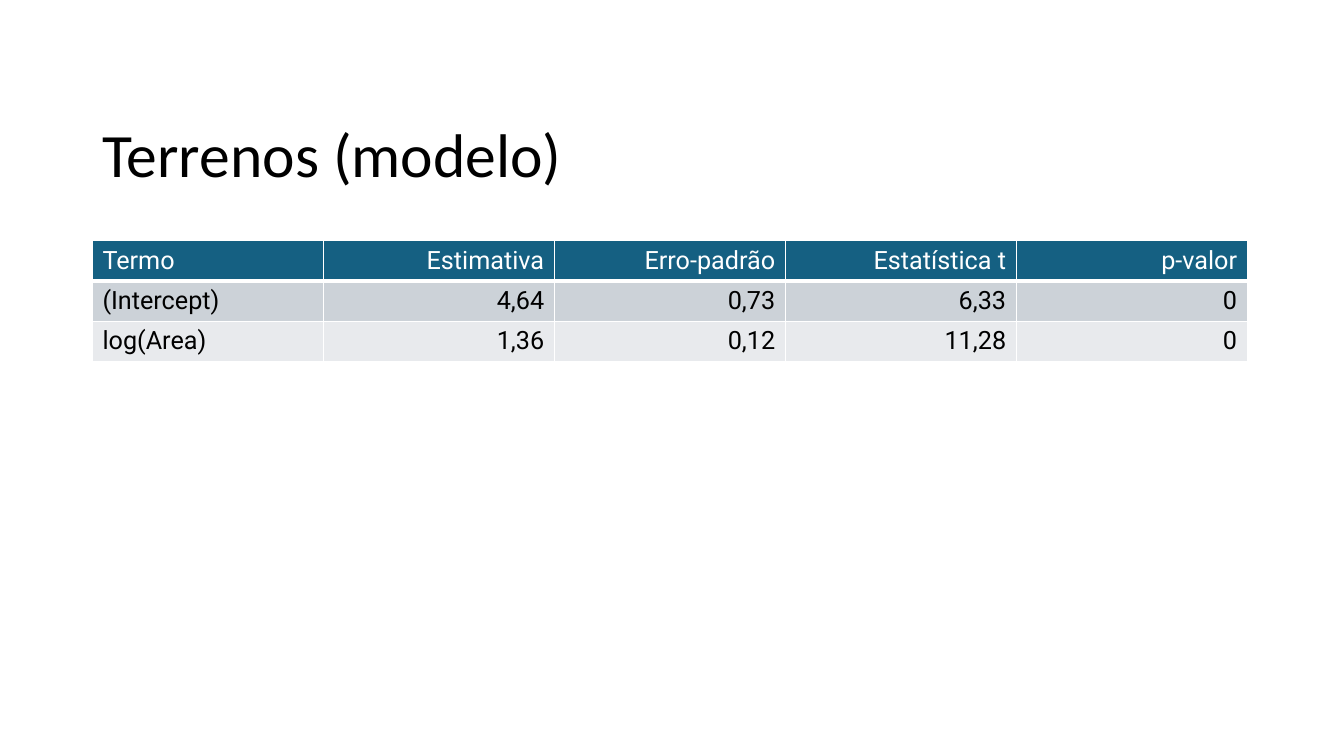
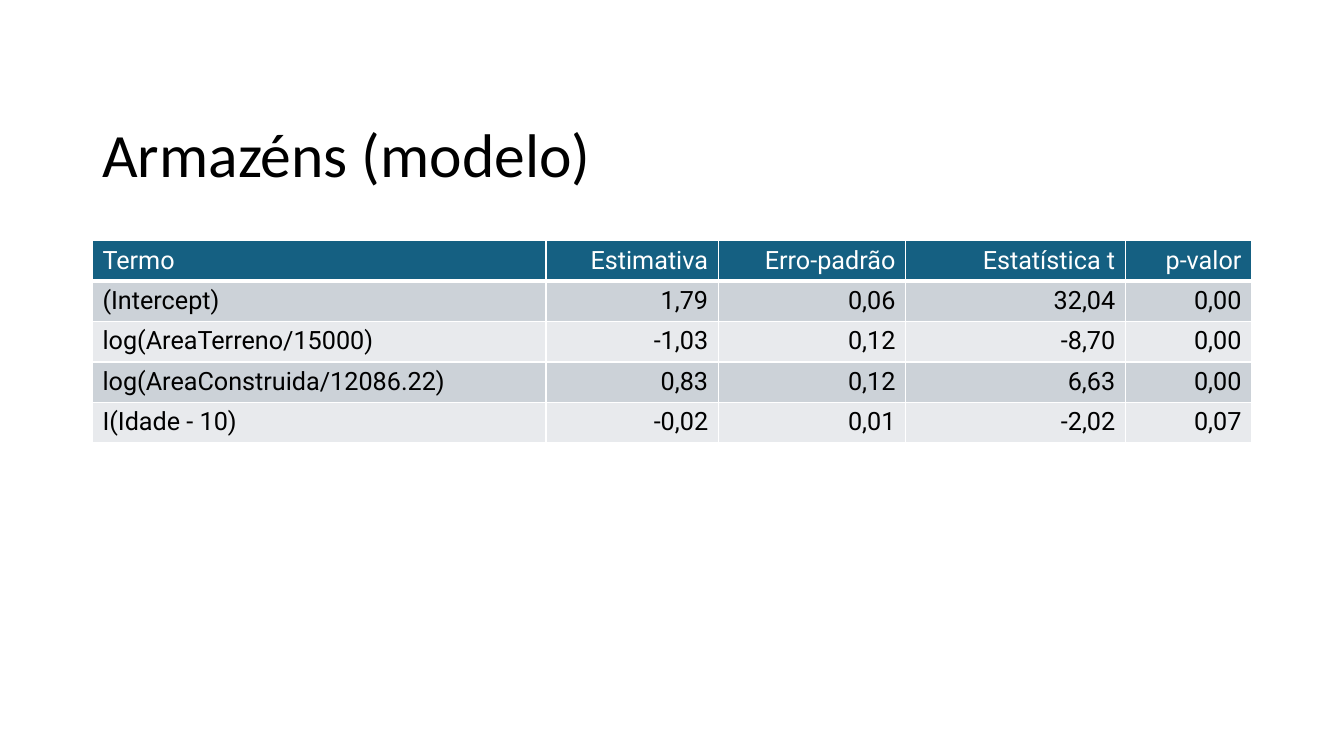
from lxml import etree
from pptx import Presentation
from pptx.dml.color import RGBColor
from pptx.enum.text import MSO_ANCHOR, PP_ALIGN
from pptx.oxml.ns import qn
from pptx.util import Cm, Pt

HEADER = ("Termo", "Estimativa", "Erro-padrão", "Estatística t", "p-valor")
MODELS = [
    {
        "title": "Terrenos (modelo)",
        "widths": (5.82,) * len(HEADER),
        "rows": [
            ("(Intercept)", "4,64", "0,73", "6,33", "0"),
            ("log(Area)", "1,36", "0,12", "11,28", "0"),
        ],
    },
    {
        "title": "Armazéns (modelo)",
        "widths": (11.43, 4.34, 4.72, 5.54, 3.18),
        "rows": [
            ("(Intercept)", "1,79", "0,06", "32,04", "0,00"),
            ("log(AreaTerreno/15000)", "-1,03", "0,12", "-8,70", "0,00"),
            ("log(AreaConstruida/12086.22)", "0,83", "0,12", "6,63", "0,00"),
            ("I(Idade - 10)", "-0,02", "0,01", "-2,02", "0,07"),
        ],
    },
]

WHITE = RGBColor(0xFF, 0xFF, 0xFF)
BLACK = RGBColor(0x00, 0x00, 0x00)
TEAL = RGBColor(0x15, 0x60, 0x82)
BANDS = (RGBColor(0xCC, 0xD2, 0xD8), RGBColor(0xE8, 0xEA, 0xED))

LEFT_ALIGN, RIGHT_ALIGN = PP_ALIGN.LEFT, PP_ALIGN.RIGHT
MIDDLE = MSO_ANCHOR.MIDDLE

TITLE_FONT = {"name": "Calibri", "size": Pt(44)}
CELL_FONT = {"name": "Roboto", "size": Pt(18), "bold": False}

BLANK_LAYOUT = 6
MARGIN = Cm(2.33)
TITLE_TOP, TITLE_WIDTH, TITLE_HEIGHT = Cm(2.74), Cm(29.21), Cm(2.46)
TABLE_TOP, ROW_HEIGHT = Cm(6.07), Cm(1)
THIN, THICK = Pt(1), Pt(3)


def write(para, text, font, color):
    span = para.add_run()
    span.text = text
    for name, value in font.items():
        setattr(span.font, name, value)
    span.font.color.rgb = color


def add_title(page, text):
    box = page.shapes.add_textbox(MARGIN, TITLE_TOP, TITLE_WIDTH, TITLE_HEIGHT)
    frame = box.text_frame
    frame.word_wrap = True
    frame.vertical_anchor = MIDDLE
    para = frame.paragraphs[0]
    para.line_spacing = 0.9
    write(para, text, TITLE_FONT, BLACK)


def add_borders(cell, bottom):
    properties = cell._tc.get_or_add_tcPr()
    for side, width in (("L", THIN), ("R", THIN), ("T", THIN), ("B", bottom)):
        line = etree.SubElement(properties, qn(f"a:ln{side}"), w=str(width))
        fill = etree.SubElement(line, qn("a:solidFill"))
        etree.SubElement(fill, qn("a:srgbClr"), val=str(WHITE))


def add_model_table(page, widths, rows):
    lines = [HEADER, *rows]
    columns = [Cm(width) for width in widths]
    table = page.shapes.add_table(
        len(lines), len(columns), MARGIN, TABLE_TOP,
        sum(columns), ROW_HEIGHT * len(lines),
    ).table
    for column, width in zip(table.columns, columns):
        column.width = width
    for row, line in enumerate(lines):
        is_header = row == 0
        background = TEAL if is_header else BANDS[(row - 1) % 2]
        for col, text in enumerate(line):
            cell = table.cell(row, col)
            add_borders(cell, THICK if is_header else THIN)
            cell.fill.solid()
            cell.fill.fore_color.rgb = background
            para = cell.text_frame.paragraphs[0]
            para.alignment = RIGHT_ALIGN if col else LEFT_ALIGN
            write(para, text, CELL_FONT, WHITE if is_header else BLACK)


def main():
    deck = Presentation()
    deck.slide_width, deck.slide_height = Cm(33.87), Cm(19.05)
    for model in MODELS:
        page = deck.slides.add_slide(deck.slide_layouts[BLANK_LAYOUT])
        add_title(page, model["title"])
        add_model_table(page, model["widths"], model["rows"])
    deck.save("out.pptx")


if __name__ == "__main__":
    main()
